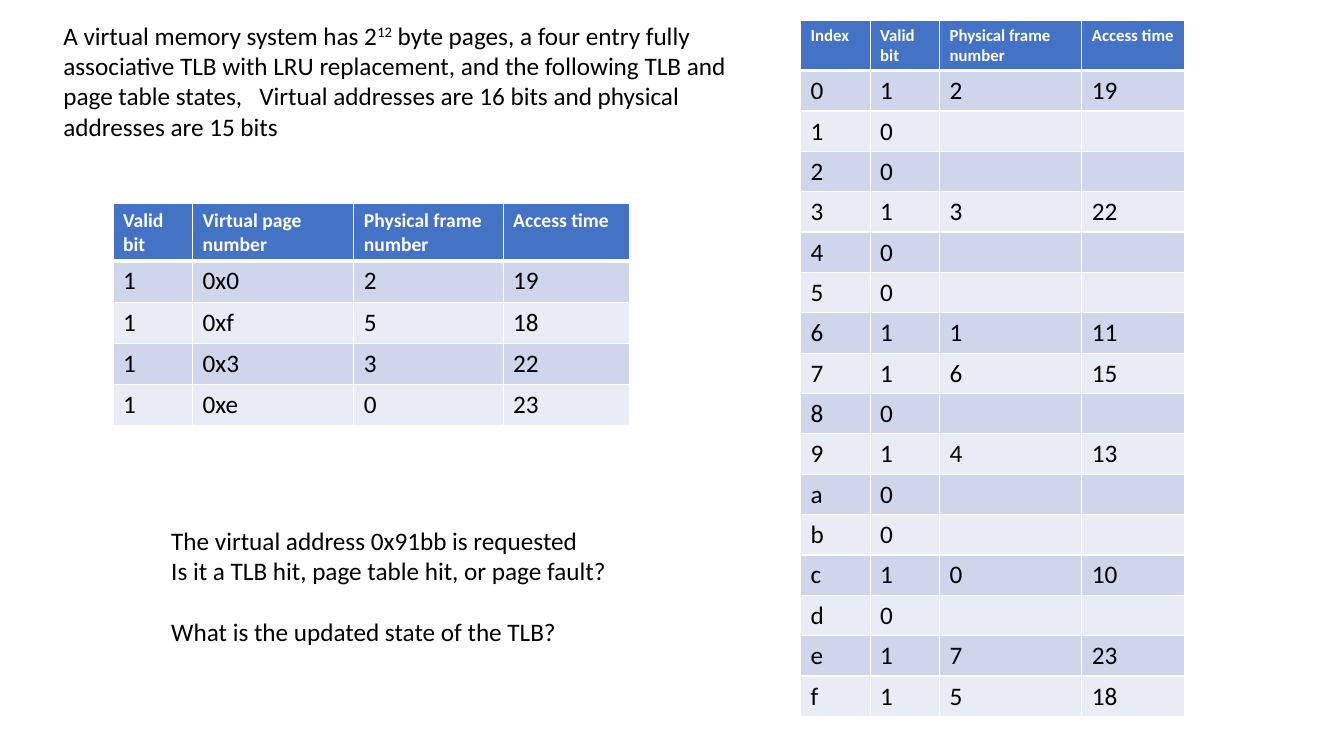
"""Build a slide posing a TLB and page table exercise."""
from lxml.etree import SubElement
from pptx import Presentation
from pptx.dml.color import RGBColor
from pptx.enum.text import MSO_AUTO_SIZE
from pptx.oxml.ns import qn
from pptx.util import Inches, Pt

COLORS = {
    "text": "000000",
    "header": "4472C4",
    "odd": "CFD5EA",
    "even": "E9EBF5",
    "white": "FFFFFF",
}


def write(paragraph, text, size=18, color="text", bold=False, superscript=False):
    run = paragraph.add_run()
    run.text = text
    for font in (paragraph.font, run.font):
        font.name = "Calibri"
        font.size = Pt(size)
        font.bold = bold
        font.color.rgb = RGBColor.from_string(COLORS[color])
    if superscript:
        run.font._element.set("baseline", "30000")


def add_state_table(left, top, widths, header_height, row_height, header_size, rows):
    height = header_height + row_height * (len(rows) - 1)
    table = slide.shapes.add_table(
        len(rows), len(widths), Inches(left), Inches(top), Inches(sum(widths)), Inches(height)
    ).table
    for column, width in zip(table.columns, widths):
        column.width = Inches(width)
    for r, values in enumerate(rows):
        table.rows[r].height = Inches(row_height if r else header_height)
        fill = ("even" if r % 2 == 0 else "odd") if r else "header"
        for c, value in enumerate(values):
            cell = table.cell(r, c)
            borders = {"lnL": 1, "lnR": 1, "lnT": 3 if r == 1 else 1, "lnB": 1 if r else 3}
            for side, points in borders.items():
                line = SubElement(cell._tc.get_or_add_tcPr(), qn(f"a:{side}"), w=str(Pt(points)))
                SubElement(SubElement(line, qn("a:solidFill")), qn("a:srgbClr"), val=COLORS["white"])
            cell.fill.solid()
            cell.fill.fore_color.rgb = RGBColor.from_string(COLORS[fill])
            paragraph = cell.text_frame.paragraphs[0]
            if r == 0:
                write(paragraph, value, size=header_size, color="white", bold=True)
            elif value:
                write(paragraph, value)
            else:
                paragraph.font.size = Pt(18)


presentation = Presentation()
presentation.slide_width = Inches(13.33)
presentation.slide_height = Inches(7.5)
slide = presentation.slides.add_slide(presentation.slide_layouts[6])

system = slide.shapes.add_textbox(Inches(0.53), Inches(0.15), Inches(7.17), Inches(1.31)).text_frame
system.word_wrap = True
system.auto_size = MSO_AUTO_SIZE.SHAPE_TO_FIT_TEXT
statement = system.paragraphs[0]
write(statement, "A virtual memory system has 2")
write(statement, "12", superscript=True)
write(
    statement,
    " byte pages, a four entry fully associative TLB with LRU replacement, "
    "and the following TLB and page table states,   Virtual addresses are 16 bits "
    "and physical addresses are 15 bits",
)

tlb = [
    ("Valid bit", "Virtual page number", "Physical frame number", "Access time"),
    ("1", "0x0", "2", "19"),
    ("1", "0xf", "5", "18"),
    ("1", "0x3", "3", "22"),
    ("1", "0xe", "0", "23"),
]
add_state_table(1.12, 2.02, (0.79, 1.6, 1.48, 1.25), 0.56, 0.41, 14, tlb)

questions = slide.shapes.add_textbox(Inches(1.6), Inches(5.16), Inches(4.67), Inches(1.31)).text_frame
questions.word_wrap = False
questions.auto_size = MSO_AUTO_SIZE.SHAPE_TO_FIT_TEXT
write(questions.paragraphs[0], "The virtual address 0x91bb is requested")
write(questions.add_paragraph(), "Is it a TLB hit, page table hit, or page fault?")
update = questions.add_paragraph()
update.space_before = Pt(22)
write(update, "What is the updated state of the TLB?")

resident = {
    "0": ("2", "19"),
    "3": ("3", "22"),
    "6": ("1", "11"),
    "7": ("6", "15"),
    "9": ("4", "13"),
    "c": ("0", "10"),
    "e": ("7", "23"),
    "f": ("5", "18"),
}
page_table = [("Index", "Valid bit", "Physical frame number", "Access time")]
for index in "0123456789abcdef":
    valid = "1" if index in resident else "0"
    page_table.append((index, valid, *resident.get(index, ("", ""))))
add_state_table(7.94, 0.2, (0.69, 0.69, 1.41, 1.02), 0.49, 0.4, 12, page_table)

presentation.save("out.pptx")
